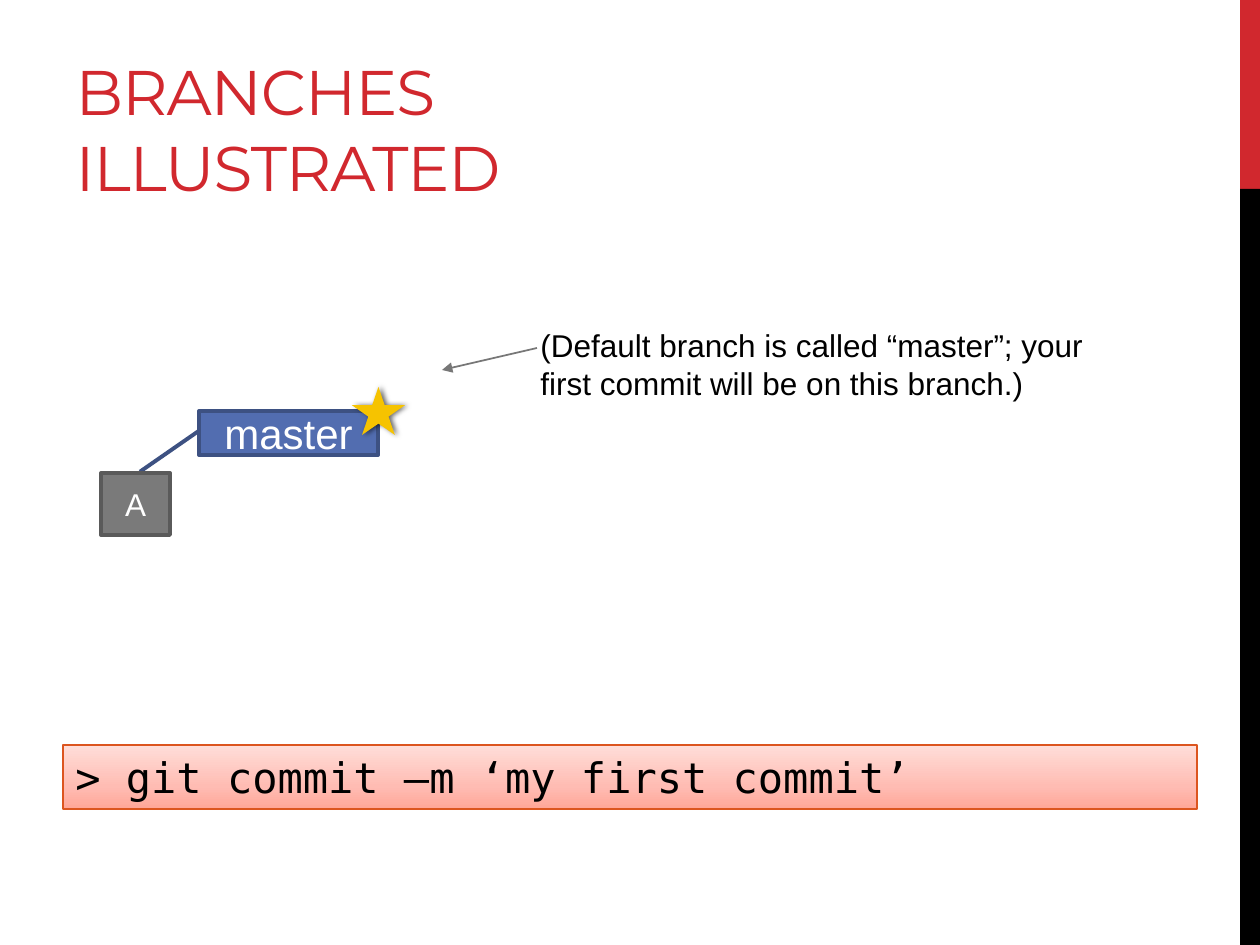
from copy import deepcopy

from lxml import etree
from pptx import Presentation
from pptx import util as u
from pptx.dml.color import RGBColor
from pptx.enum import shapes, text
from pptx.oxml.ns import qn

PX = 914400 / 126
RED = RGBColor(0xD1, 0x28, 0x2E)
BLACK = RGBColor(0, 0, 0)
WHITE = RGBColor(255, 255, 255)
BLUE = RGBColor(0x52, 0x6D, 0xB0)
NAVY = RGBColor(0x3D, 0x51, 0x82)
GRAY = RGBColor(0x7A, 0x7A, 0x7A)
DARK = RGBColor(0x5A, 0x5A, 0x5A)
ARROW = RGBColor(0x77, 0x77, 0x77)
GOLD = RGBColor(0xF6, 0xC3, 0x00)
ORANGE = RGBColor(0xDC, 0x55, 0x1F)
PINKS = [(0, RGBColor(0xFF, 0xA6, 0x98)), (0.35, RGBColor(0xFF, 0xBC, 0xB3)),
         (1, RGBColor(0xFF, 0xDE, 0xD9))]
KIND = shapes.MSO_SHAPE
ALIGN = text.PP_ALIGN
ANCHOR = text.MSO_ANCHOR


def emu(*vals):
    return [u.Emu(round(v * PX)) for v in vals]


def write(shape, words, size, color, face="Arial", align=ALIGN.LEFT,
          anchor=ANCHOR.TOP):
    frame = shape.text_frame
    frame.text = words
    frame.word_wrap = True
    frame.vertical_anchor = anchor
    para = frame.paragraphs[0]
    para.alignment = align
    font = para.runs[0].font
    font.size, font.name, font.color.rgb = u.Pt(size), face, color


def draw(slide, kind, box, fill=None, line=None, width=1):
    shape = slide.shapes.add_shape(kind, *emu(*box))
    shape.shadow.inherit = False
    if fill is not None:
        shape.fill.solid()
        shape.fill.fore_color.rgb = fill
    if line is None:
        shape.line.fill.background()
    else:
        shape.line.color.rgb = line
        shape.line.width = u.Pt(width)
    return shape


def add_bars(slide, x, y, w, h):
    """Side stripe: the top fifth is red, the rest black."""
    cut = h // 5
    draw(slide, KIND.RECTANGLE, (x, y, w, cut), RED)
    draw(slide, KIND.RECTANGLE, (x, y + cut, w, h - cut), BLACK)


def add_title(slide, box, words):
    title = slide.shapes.title
    title.left, title.top, title.width, title.height = emu(*box)
    write(title, words, 36, RED, "Montserrat", anchor=ANCHOR.BOTTOM)
    title.text_frame.auto_size = text.MSO_AUTO_SIZE.NONE
    title.text_frame.paragraphs[0].runs[0].font._element.set("spc", "-60")


def add_graph(slide, x, y):
    """Branch label, its commit and the star that marks the current branch."""
    label = draw(slide, KIND.LINE_CALLOUT_1, (x + 98, y + 24, 179, 44),
                 BLUE, NAVY, 2.25)
    for i, val in enumerate((0.45, 0, 1.38, -0.33)):
        label.adjustments[i] = val
    write(label, "master", 24, WHITE, align=ALIGN.CENTER, anchor=ANCHOR.MIDDLE)
    node = draw(slide, KIND.RECTANGLE, (x, y + 86, 69, 62), GRAY, DARK, 2.25)
    write(node, "A", 18, WHITE, align=ALIGN.CENTER, anchor=ANCHOR.MIDDLE)
    star = draw(slide, KIND.STAR_5_POINT, (x + 251, y, 53, 48), GOLD)
    effects = star._element.spPr.find(qn("a:effectLst"))
    shadow = etree.SubElement(effects, qn("a:outerShdw"), blurRad="38100",
                              dist="19050", dir="0", rotWithShape="0")
    tint = etree.SubElement(shadow, qn("a:srgbClr"), val="000000")
    etree.SubElement(tint, qn("a:alpha"), val="60000")


def add_note(slide, x, y, w, h, words):
    """Remark with an arrow that points down to its left."""
    arrow = slide.shapes.add_connector(
        shapes.MSO_CONNECTOR.STRAIGHT, *emu(x + 9, y + 28, x - 86, y + 50))
    arrow.line.color.rgb = ARROW
    arrow.line.width = u.Pt(1)
    etree.SubElement(arrow.line._get_or_add_ln(), qn("a:tailEnd"),
                     type="triangle")
    etree.SubElement(arrow._element.spPr, qn("a:effectLst"))
    note = slide.shapes.add_textbox(*emu(x, y, w, h))
    write(note, words, 18, BLACK)


def add_command(slide, box, words):
    bar = draw(slide, KIND.RECTANGLE, box, line=ORANGE)
    bar.fill.gradient()
    bar.fill.gradient_angle = 90
    first = bar._element.spPr.find(".//" + qn("a:gs"))
    first.addnext(deepcopy(first))
    for stop, (place, color) in zip(bar.fill.gradient_stops, PINKS):
        stop.position = place
        stop.color.rgb = color
    write(bar, words, 24, BLACK, "DejaVu Sans Mono")


def main():
    prs = Presentation()
    prs.slide_width, prs.slide_height = emu(1260, 945)
    slide = prs.slides.add_slide(prs.slide_layouts[5])
    add_bars(slide, 1240, 0, 20, 945)
    add_title(slide, (63, 21, 798, 189), "BRANCHES ILLUSTRATED")
    add_graph(slide, 101, 387)
    add_command(slide, (63, 745, 1134, 64), "> git commit –m ‘my first commit’")
    add_note(slide, 528, 320, 610, 127,
             "(Default branch is called “master”; your first commit "
             "will be on this branch.)")
    prs.save("out.pptx")


if __name__ == "__main__":
    main()
